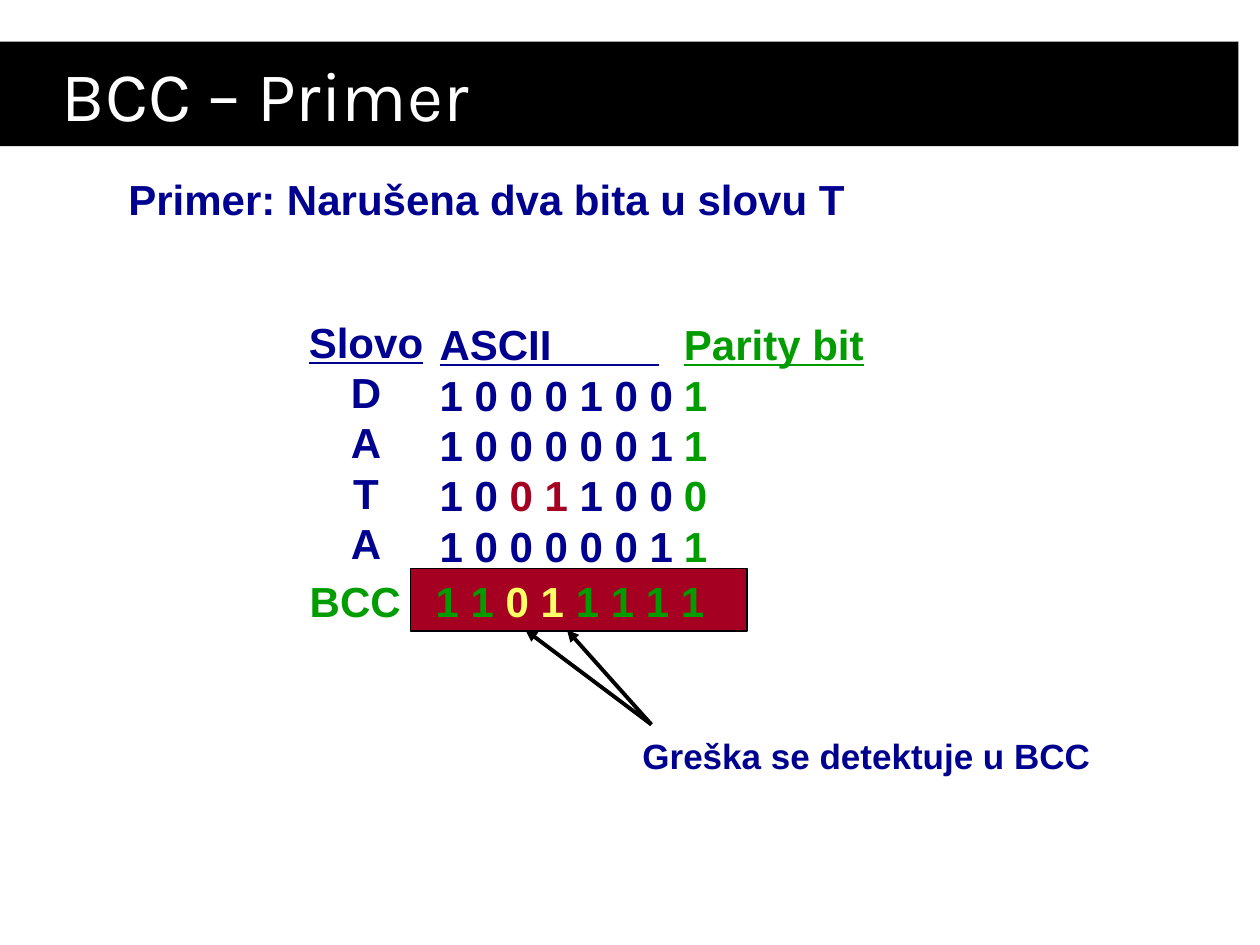
from dataclasses import dataclass

from lxml import etree
from pptx import Presentation
from pptx.dml.color import RGBColor
from pptx.enum.shapes import MSO_CONNECTOR, MSO_SHAPE
from pptx.enum.text import MSO_ANCHOR, MSO_AUTO_SIZE, PP_ALIGN
from pptx.oxml.ns import qn
from pptx.util import Pt

STRAIGHT = MSO_CONNECTOR.STRAIGHT
RECTANGLE = MSO_SHAPE.RECTANGLE
MIDDLE = MSO_ANCHOR.MIDDLE
GROW = MSO_AUTO_SIZE.SHAPE_TO_FIT_TEXT
LEFT, CENTER = PP_ALIGN.LEFT, PP_ALIGN.CENTER
SCALE = 9144  # EMU per px, 100 px to the inch


@dataclass(frozen=True)
class Theme:
    navy: str = "000090"
    green: str = "009C00"
    red: str = "A50021"
    yellow: str = "FFFF66"
    black: str = "000000"
    white: str = "FFFFFF"
    title_font: str = "Karla"
    body_font: str = "Arial"
    title_size: int = 40
    body_size: int = 24
    note_size: int = 20


def px(*lengths):
    return [length * SCALE for length in lengths]


def set_all(target, values):
    for name, value in values.items():
        setattr(target, name, value)


class SlideBuilder:
    def __init__(self, slide, theme):
        self.slide = slide
        self.theme = theme

    def bar(self, box, fill, outline=None):
        bar = self.slide.shapes.add_shape(RECTANGLE, *px(*box))
        bar.shadow.inherit = False
        bar.fill.solid()
        bar.fill.fore_color.rgb = RGBColor.from_string(fill)
        if outline:
            bar.line.color.rgb = RGBColor.from_string(outline)
            bar.line.width = Pt(0.75)
        else:
            bar.line.fill.background()
        return bar

    def title(self, box, text):
        banner = self.bar(box, self.theme.black)
        set_all(banner.text_frame, {"vertical_anchor": MIDDLE, "margin_left": 49 * SCALE})
        heading = banner.text_frame.paragraphs[0]
        heading.alignment = LEFT
        self.run(heading, text, self.theme.white,
                 size=self.theme.title_size, name=self.theme.title_font)

    def run(self, paragraph, text, color, size, **font):
        run = paragraph.add_run()
        run.text = text
        set_all(run.font, {"size": Pt(size), **font})
        run.font.color.rgb = RGBColor.from_string(color)

    def text(self, box, lines, color, size=None, align=LEFT, wrap=True,
             header=False, tab=None):
        """Each line is a string or a list of (text, color) pieces."""
        frame = self.slide.shapes.add_textbox(*px(*box)).text_frame
        set_all(frame, {"word_wrap": wrap, "auto_size": GROW})
        for index, line in enumerate(lines):
            paragraph = frame.add_paragraph() if index else frame.paragraphs[0]
            paragraph.alignment = align
            if tab:
                stops = etree.SubElement(paragraph._p.get_or_add_pPr(), qn("a:tabLst"))
                etree.SubElement(stops, qn("a:tab"), pos=str(tab * SCALE), algn="l")
            pieces = [(line, color)] if isinstance(line, str) else line
            for piece, piece_color in pieces:
                self.run(paragraph, piece, piece_color, size or self.theme.body_size,
                         name=self.theme.body_font, bold=True,
                         underline=header and index == 0)

    def line(self, start, end, color, width):
        line = self.slide.shapes.add_connector(STRAIGHT, *px(*start, *end))
        line.line.color.rgb = RGBColor.from_string(color)
        line.line.width = Pt(width)
        etree.SubElement(line._element.spPr, qn("a:effectLst"))
        return line

    def arrow(self, start, end):
        arrow = self.line(start, end, self.theme.black, 2.25)
        etree.SubElement(arrow.line._get_or_add_ln(), qn("a:tailEnd"), type="triangle")


def main():
    presentation = Presentation()
    presentation.slide_width, presentation.slide_height = px(1000, 750)
    slide = presentation.slides.add_slide(presentation.slide_layouts[6])
    theme = Theme()
    build = SlideBuilder(slide, theme)
    navy, green = theme.navy, theme.green

    build.bar((326, 451, 267, 50), theme.red, theme.black)
    build.text((232, 246, 117, 250), ["Slovo", *"DATA"], navy, align=CENTER, header=True)
    build.title((0, 33, 983, 83), "BCC – Primer")
    build.text((236, 452, 333, 50),
               [[("BCC\t1 1 ", green), ("0 1", theme.yellow), (" 1 1 1 1", green)]],
               green, wrap=False, tab=100)
    build.text((533, 248, 175, 210), ["Parity bit", *"1101"], green, header=True)
    build.text((92, 133, 859, 50), ["Primer: Narušena dva bita u slovu T"], navy)

    damaged_word = [("1 0 ", navy), ("0 1", theme.red), (" 1 0 0", navy)]
    ascii_codes = ["1 0 0 0 1 0 0", "1 0 0 0 0 0 1", damaged_word, "1 0 0 0 0 0 1"]
    build.text((339, 248, 205, 250), ["ASCII", *ascii_codes], navy, header=True)
    # The header rule runs on past the word, over the whole code column.
    build.line((437, 290), (523, 290), navy, 1.25)

    build.text((500, 578, 431, 44), ["Greška se detektuje u BCC"], navy, size=theme.note_size)
    for damaged_bit in ((450, 500), (417, 500)):
        build.arrow((517, 575), damaged_bit)

    presentation.save("out.pptx")


if __name__ == "__main__":
    main()
